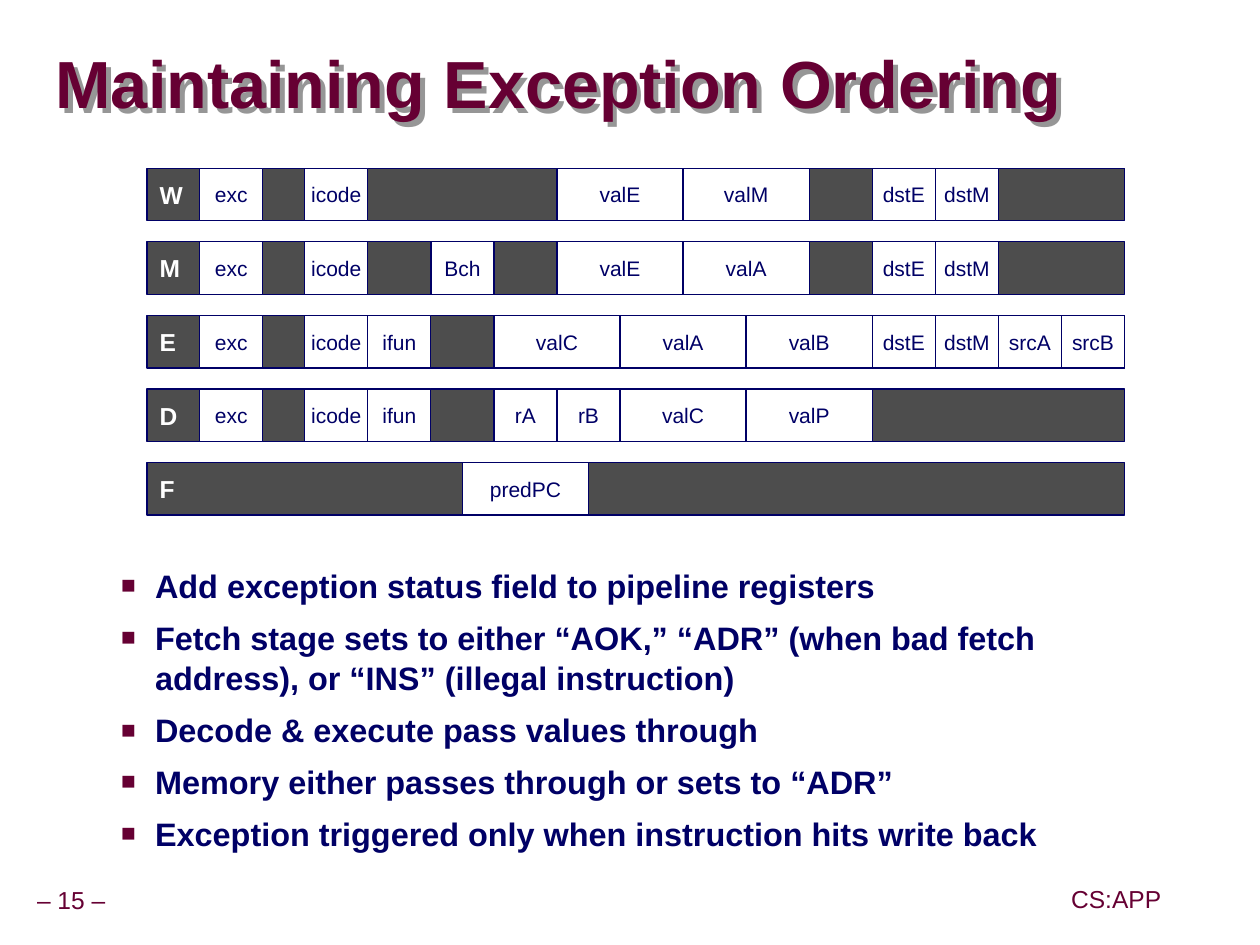
from lxml.etree import SubElement
from pptx import Presentation
from pptx.dml.color import RGBColor
from pptx.enum.shapes import MSO_SHAPE
from pptx.enum.text import MSO_ANCHOR, MSO_AUTO_SIZE, PP_ALIGN
from pptx.oxml.ns import qn
from pptx.util import Inches, Pt

MAROON, NAVY, GRAY, WHITE, SHADOW = "660033", "000066", "4D4D4D", "FFFFFF", "969696"
UNITS_PER_INCH = 12
BAR_LEFT, BAR_TOP, BAR_WIDTH, BAR_HEIGHT, ROW_PITCH = 14, 16, 93, 5, 7

# Each field is (name, first column, columns wide), counted from the bar's left.
EXC, ICODE, IFUN = ("exc", 5, 6), ("icode", 15, 6), ("ifun", 21, 6)
DST_E, DST_M = ("dstE", 69, 6), ("dstM", 75, 6)
VAL_E = ("valE", 39, 12)
REGISTERS = {
    "W": [EXC, ICODE, VAL_E, ("valM", 51, 12), DST_E, DST_M],
    "M": [EXC, ICODE, ("Bch", 27, 6), VAL_E, ("valA", 51, 12), DST_E, DST_M],
    "E": [EXC, ICODE, IFUN, ("valC", 33, 12), ("valA", 45, 12), ("valB", 57, 12),
          DST_E, DST_M, ("srcA", 81, 6), ("srcB", 87, 6)],
    "D": [EXC, ICODE, IFUN, ("rA", 33, 6), ("rB", 39, 6), ("valC", 45, 12),
          ("valP", 57, 12)],
    "F": [("predPC", 30, 12)],
}
POINTS = [
    "Add exception status field to pipeline registers",
    "Fetch stage sets to either “AOK,” “ADR” (when bad fetch address), "
    "or “INS” (illegal instruction)",
    "Decode & execute pass values through",
    "Memory either passes through or sets to “ADR”",
    "Exception triggered only when instruction hits write back",
]


def color(value):
    return RGBColor.from_string(value)


def units(count):
    return Inches(count / UNITS_PER_INCH)


def place(shape, left, top, width, height):
    shape.left, shape.top = Inches(left), Inches(top)
    shape.width, shape.height = Inches(width), Inches(height)


def set_frame(frame, across, down, wrap=True, anchor=MSO_ANCHOR.MIDDLE):
    frame.auto_size = MSO_AUTO_SIZE.NONE
    frame.word_wrap = wrap
    frame.vertical_anchor = anchor
    frame.margin_left = frame.margin_right = Inches(across)
    frame.margin_top = frame.margin_bottom = Inches(down)


def style(para, size, value, bold=False, align=PP_ALIGN.LEFT):
    para.alignment = align
    for span in para.runs:
        span.font.name, span.font.size, span.font.bold = "Arial", Pt(size), bold
        span.font.color.rgb = color(value)


def add_title(page, box):
    title = page.shapes.title
    place(title, *box)
    title.fill.background()
    effects = SubElement(title.element.spPr, qn("a:effectLst"))
    shadow = SubElement(effects, qn("a:outerShdw"), dist="50800", dir="2700000",
                        algn="ctr", rotWithShape="0")
    SubElement(shadow, qn("a:srgbClr"), val=SHADOW)
    set_frame(title.text_frame, 0, 0)
    title.text_frame.text = "Maintaining Exception Ordering"
    para = title.text_frame.paragraphs[0]
    para.line_spacing = 0.87
    style(para, 38, MAROON, bold=True)


def add_square_bullet(para):
    properties = para._p.get_or_add_pPr()
    properties.set("marL", str(Inches(0.81)))
    properties.set("indent", str(Inches(-0.27)))
    SubElement(SubElement(properties, qn("a:buClr")), qn("a:srgbClr"), val=MAROON)
    SubElement(properties, qn("a:buSzPct"), val="75000")
    SubElement(properties, qn("a:buFont"), typeface="Arial")
    SubElement(properties, qn("a:buChar"), char="■")


def add_points(page, box):
    body = page.placeholders[1]
    place(body, *box)
    frame = body.text_frame
    set_frame(frame, 0.1, 0.05, anchor=MSO_ANCHOR.TOP)
    frame.text = "\n".join(POINTS)
    for index, para in enumerate(frame.paragraphs):
        para.level = 1
        add_square_bullet(para)
        para.line_spacing = 1.05
        para.space_before = Pt(6.2 if index else 0)
        style(para, 18.5, NAVY, bold=True)


def add_block(group, left, top, width, fill, text):
    block = group.shapes.add_shape(MSO_SHAPE.RECTANGLE, units(left), units(top),
                                   units(width), units(BAR_HEIGHT))
    block.shadow.inherit = False
    block.fill.solid()
    block.fill.fore_color.rgb = color(fill)
    block.line.color.rgb = color(NAVY)
    block.line.width = Pt(0.75)
    block.text_frame.text = text
    return block.text_frame


def add_register(page, stage, fields, left, top):
    group = page.shapes.add_group_shape()
    frame = add_block(group, left, top, BAR_WIDTH, GRAY, stage)
    set_frame(frame, 0.1, 0.05)
    style(frame.paragraphs[0], 14, WHITE, bold=True)
    for name, column, width in fields:
        frame = add_block(group, left + column, top, width, WHITE, name)
        set_frame(frame, 0, 0, wrap=False)
        style(frame.paragraphs[0], 12, NAVY, align=PP_ALIGN.CENTER)


def add_footer(page, text, box):
    footer = page.shapes.add_textbox(0, 0, 0, 0)
    place(footer, *box)
    set_frame(footer.text_frame, 0.05, 0.05, wrap=False)
    footer.text_frame.text = text
    para = footer.text_frame.paragraphs[0]
    para.line_spacing = 0.9
    style(para, 14, MAROON, align=PP_ALIGN.CENTER)


def main():
    deck = Presentation()
    deck.slide_width, deck.slide_height = Inches(9.99), Inches(7.49)
    page = deck.slides.add_slide(deck.slide_layouts[1])
    add_title(page, (0.44, 0.27, 9.52, 0.85))
    add_points(page, (0.32, 4.42, 9.07, 2.29))
    for row, (stage, fields) in enumerate(REGISTERS.items()):
        add_register(page, stage, fields, BAR_LEFT, BAR_TOP + row * ROW_PITCH)
    add_footer(page, "– 15 –", (-0.09, 6.99, 1.31, 0.31))
    add_footer(page, "CS:APP", (8.44, 6.98, 0.82, 0.31))
    deck.save("out.pptx")


if __name__ == "__main__":
    main()
